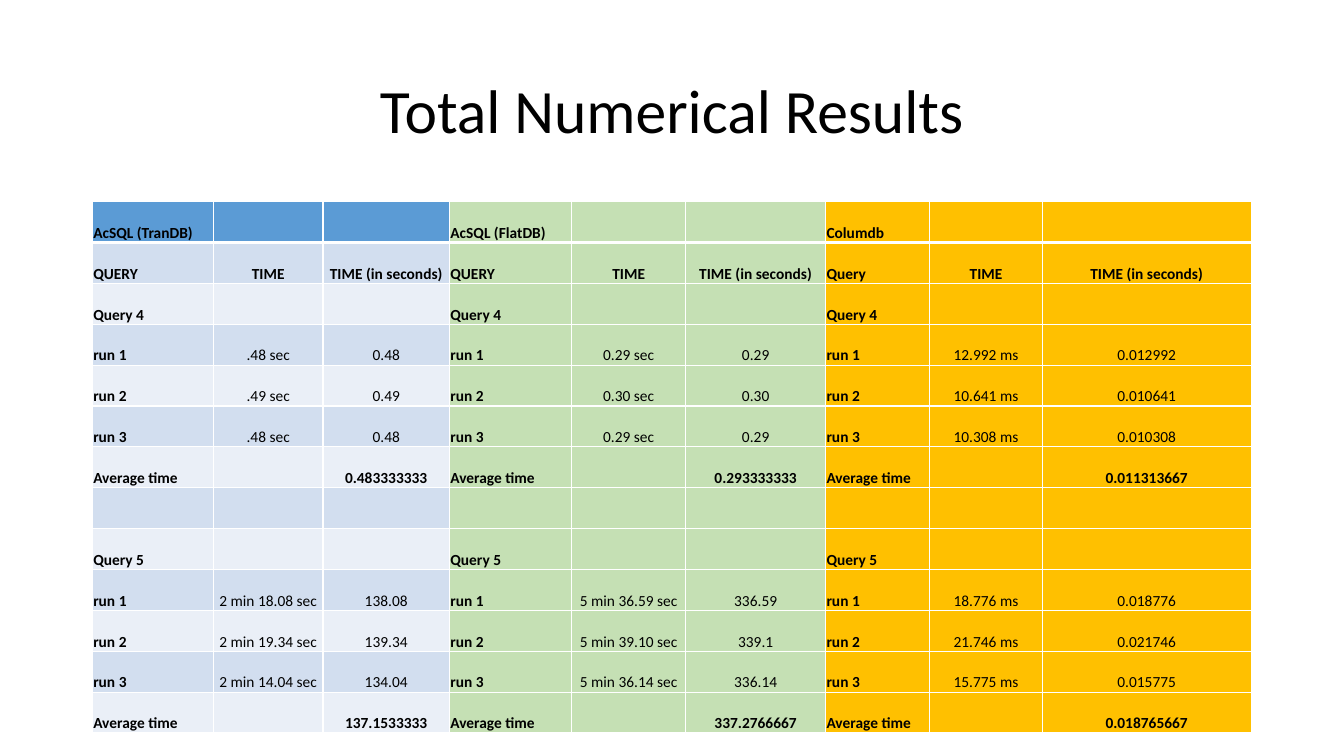
from lxml import etree
from pptx import Presentation
from pptx.dml.color import RGBColor
from pptx.enum.text import MSO_ANCHOR, PP_ALIGN
from pptx.oxml.ns import qn
from pptx.util import Cm, Pt

LEFT, CENTER = PP_ALIGN.LEFT, PP_ALIGN.CENTER
MIDDLE, BOTTOM = MSO_ANCHOR.MIDDLE, MSO_ANCHOR.BOTTOM
TITLE_ONLY = 5

FONT = "Calibri"
COLORS = {
    "text": "000000", "border": "FFFFFF",
    "blue": "5B9BD5", "blue band": "D2DEEF", "blue light": "EAEFF7",
    "green": "C5E0B4", "gold": "FFC000",
}

# Each system: name, query heading, fills (header, odd rows, even rows),
# then per query the (time, seconds) of each run and the average
SYSTEMS = [
    ("AcSQL (TranDB)", "QUERY", ("blue", "blue band", "blue light"), [
        ([(".48 sec", "0.48"), (".49 sec", "0.49"), (".48 sec", "0.48")],
         "0.483333333"),
        ([("2 min 18.08 sec", "138.08"), ("2 min 19.34 sec", "139.34"),
          ("2 min 14.04 sec", "134.04")], "137.1533333"),
    ]),
    ("AcSQL (FlatDB)", "QUERY", ("green",) * 3, [
        ([("0.29 sec", "0.29"), ("0.30 sec", "0.30"), ("0.29 sec", "0.29")],
         "0.293333333"),
        ([("5 min 36.59 sec", "336.59"), ("5 min 39.10 sec", "339.1"),
          ("5 min 36.14 sec", "336.14")], "337.2766667"),
    ]),
    ("Columdb", "Query", ("gold",) * 3, [
        ([("12.992 ms", "0.012992"), ("10.641 ms", "0.010641"),
          ("10.308 ms", "0.010308")], "0.011313667"),
        ([("18.776 ms", "0.018776"), ("21.746 ms", "0.021746"),
          ("15.775 ms", "0.015775")], "0.018765667"),
    ]),
]
QUERIES = ["Query 4", "Query 5"]
COLUMN_WIDTHS = [3.05, 2.76, 3.19, 3.08, 2.87, 3.53, 2.62, 2.84, 5.26]
ROW_HEIGHT = 1.03


def add_span(para, text, size, bold=False):
    span = para.add_run()
    span.text = text
    span.font.name = FONT
    span.font.size = Pt(size)
    span.font.bold = bold
    span.font.color.rgb = RGBColor.from_string(COLORS["text"])


def set_title(page, text):
    title = page.shapes.title
    title.left, title.top = Cm(2.33), Cm(1.01)
    title.width, title.height = Cm(29.21), Cm(3.68)
    title.text_frame.vertical_anchor = MIDDLE
    para = title.text_frame.paragraphs[0]
    para.alignment = CENTER
    para.line_spacing = 0.9
    add_span(para, text, 44)


def set_borders(cell, top, bottom):
    """Draw the four cell edges; the side edges are 1 pt wide."""
    properties = cell._tc.get_or_add_tcPr()
    edges = [("a:lnL", 1), ("a:lnR", 1), ("a:lnT", top), ("a:lnB", bottom)]
    for position, (tag, width) in enumerate(edges):
        line = etree.Element(qn(tag), w=str(Pt(width)))
        fill = etree.SubElement(line, qn("a:solidFill"))
        etree.SubElement(fill, qn("a:srgbClr"), val=COLORS["border"])
        properties.insert(position, line)


def fill_cell(cell, text, fill, alignment, bold):
    cell.fill.solid()
    cell.fill.fore_color.rgb = RGBColor.from_string(COLORS[fill])
    # Tight margins on every cell keep the rows at their set height
    cell.margin_left = cell.margin_right = cell.margin_top = Cm(0.02)
    cell.margin_bottom = 0
    cell.vertical_anchor = BOTTOM
    if text:
        para = cell.text_frame.paragraphs[0]
        para.alignment = alignment
        add_span(para, text, 11, bold)


def system_rows(name, heading, results):
    """List the three-column rows of one system."""
    rows = [(name, "", ""), (heading, "TIME", "TIME (in seconds)")]
    for query, (runs, average) in zip(QUERIES, results):
        if query != QUERIES[0]:
            rows.append(("", "", ""))
        rows.append((query, "", ""))
        rows += [(f"run {number}", *run) for number, run in enumerate(runs, 1)]
        rows.append(("Average time", "", average))
    return rows


def add_results_table(page):
    blocks = [system_rows(name, heading, results)
              for name, heading, _, results in SYSTEMS]
    row_count = len(blocks[0])
    table = page.shapes.add_table(
        row_count, len(COLUMN_WIDTHS), Cm(2.33), Cm(5.08),
        Cm(sum(COLUMN_WIDTHS)), Cm(ROW_HEIGHT * row_count)).table
    for column, width in zip(table.columns, COLUMN_WIDTHS):
        column.width = Cm(width)
    for row in table.rows:
        row.height = Cm(ROW_HEIGHT)

    for block_index, (block, system) in enumerate(zip(blocks, SYSTEMS)):
        header, odd, even = system[2]
        for row_index, row in enumerate(block):
            fill = header if row_index == 0 else odd if row_index % 2 else even
            bold_row = row_index < 2 or row[0] == "Average time"
            for offset, text in enumerate(row):
                cell = table.cell(row_index, block_index * len(row) + offset)
                fill_cell(cell, text, fill, CENTER if offset else LEFT,
                          bold_row or offset == 0)
                set_borders(cell, top=3 if row_index == 1 else 1,
                            bottom=3 if row_index == 0 else 1)


def main():
    deck = Presentation()
    deck.slide_width, deck.slide_height = Cm(33.87), Cm(19.05)
    page = deck.slides.add_slide(deck.slide_layouts[TITLE_ONLY])
    set_title(page, "Total Numerical Results")
    add_results_table(page)
    deck.save("out.pptx")


if __name__ == "__main__":
    main()
